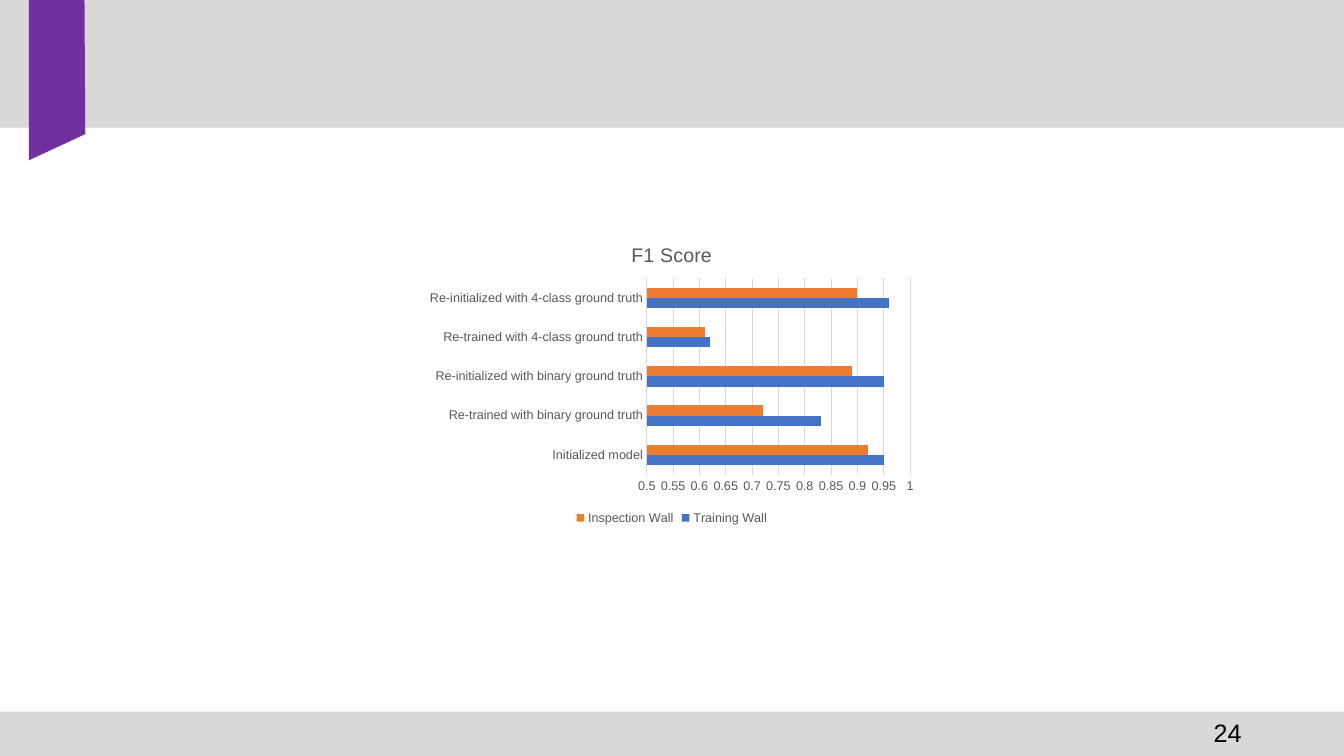
import dataclasses

import pptx
import pptx.chart.data
import pptx.dml.color
import pptx.enum.chart
import pptx.enum.shapes
import pptx.enum.text
import pptx.util

Cm = pptx.util.Cm
Pt = pptx.util.Pt


@dataclasses.dataclass(frozen=True)
class Theme:
    font: str = "Arial"
    band: str = "D8D8D8"
    ribbon: str = "7030A0"
    ink: str = "000000"
    label: str = "595959"
    grid: str = "D9D9D9"
    train: str = "4472C4"
    inspect: str = "ED7D31"
    page_size: float = 18
    title_size: float = 14
    label_size: float = 9
    line_width: float = 0.75


THEME = Theme()
WIDTH, HEIGHT = 33.87, 19.05
LABELS = [
    "Initialized model",
    "Re-trained with binary ground truth",
    "Re-initialized with binary ground truth",
    "Re-trained with 4-class ground truth",
    "Re-initialized with 4-class ground truth",
]
SERIES = [
    ("Training Wall", [0.95, 0.83, 0.95, 0.62, 0.96], THEME.train),
    ("Inspection Wall", [0.92, 0.72, 0.89, 0.61, 0.9], THEME.inspect),
]


def rgb(color):
    return pptx.dml.color.RGBColor.from_string(color)


def paint(shape, color):
    shape.shadow.inherit = False
    shape.fill.solid()
    shape.fill.fore_color.rgb = rgb(color)
    shape.line.fill.background()


def style(font, size, color):
    font.name = THEME.font
    font.size = Pt(size)
    font.bold = False
    font.color.rgb = rgb(color)


def rule(line):
    line.color.rgb = rgb(THEME.grid)
    line.width = Pt(THEME.line_width)


def add_band(slide, top, height):
    band = slide.shapes.add_shape(
        pptx.enum.shapes.MSO_SHAPE.RECTANGLE, 0, Cm(top), Cm(WIDTH), Cm(height)
    )
    paint(band, THEME.band)


def add_ribbon(slide, points):
    first, *rest = [(Cm(x), Cm(y)) for x, y in points]
    outline = slide.shapes.build_freeform(*first)
    outline.add_line_segments(rest, close=True)
    paint(outline.convert_to_shape(), THEME.ribbon)


def add_page(slide, number):
    box = slide.shapes.add_textbox(Cm(23.92), Cm(17.85), Cm(7.62), Cm(1.2))
    frame = box.text_frame
    frame.word_wrap = True
    frame.vertical_anchor = pptx.enum.text.MSO_ANCHOR.MIDDLE
    para = frame.paragraphs[0]
    para.alignment = pptx.enum.text.PP_ALIGN.RIGHT
    run = para.add_run()
    run.text = number
    style(run.font, THEME.page_size, THEME.ink)


def style_axis(axis):
    axis.major_tick_mark = pptx.enum.chart.XL_TICK_MARK.NONE
    axis.minor_tick_mark = pptx.enum.chart.XL_TICK_MARK.NONE
    style(axis.tick_labels.font, THEME.label_size, THEME.label)


def add_bars(slide, title):
    data = pptx.chart.data.CategoryChartData()
    data.categories = LABELS
    for name, values, _ in SERIES:
        data.add_series(name, values)
    chart = slide.shapes.add_chart(
        pptx.enum.chart.XL_CHART_TYPE.BAR_CLUSTERED,
        Cm(10.58), Cm(5.72), Cm(12.7), Cm(7.62), data,
    ).chart
    style(chart.font, THEME.label_size, THEME.label)

    chart.has_title = True
    run = chart.chart_title.text_frame.paragraphs[0].add_run()
    run.text = title
    style(run.font, THEME.title_size, THEME.label)
    chart.chart_title.include_in_layout = False

    chart.has_legend = True
    chart.legend.position = pptx.enum.chart.XL_LEGEND_POSITION.BOTTOM
    chart.legend.include_in_layout = False
    style(chart.legend.font, THEME.label_size, THEME.label)

    plot = chart.plots[0]
    plot.gap_width = 182
    plot.vary_by_categories = False
    for series, (_, _, color) in zip(plot.series, SERIES):
        series.format.fill.solid()
        series.format.fill.fore_color.rgb = rgb(color)

    style_axis(chart.category_axis)
    rule(chart.category_axis.format.line)
    scale = chart.value_axis
    style_axis(scale)
    scale.minimum_scale = 0.5
    scale.maximum_scale = 1
    scale.major_unit = 0.05
    scale.format.line.fill.background()
    rule(scale.major_gridlines.format.line)


def main():
    deck = pptx.Presentation()
    deck.slide_width = Cm(WIDTH)
    deck.slide_height = Cm(HEIGHT)
    slide = deck.slides.add_slide(deck.slide_layouts[6])
    add_band(slide, 17.93, 1.12)
    add_band(slide, 0, 3.22)
    add_ribbon(slide, [(0.73, 4.04), (2.15, 3.38), (2.13, 0), (0.73, 0)])
    add_page(slide, "24")
    add_bars(slide, "F1 Score")
    deck.save("out.pptx")


if __name__ == "__main__":
    main()
